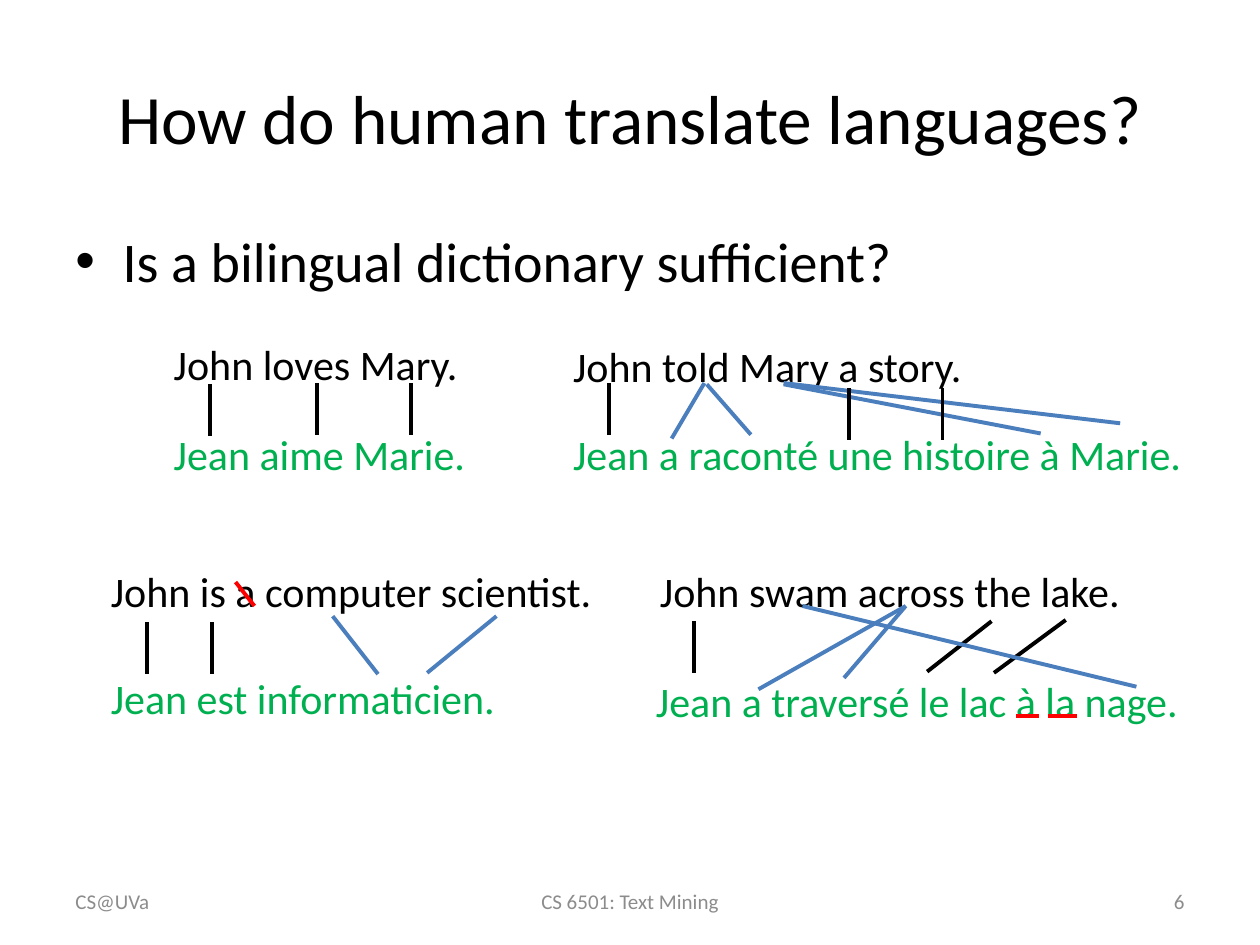
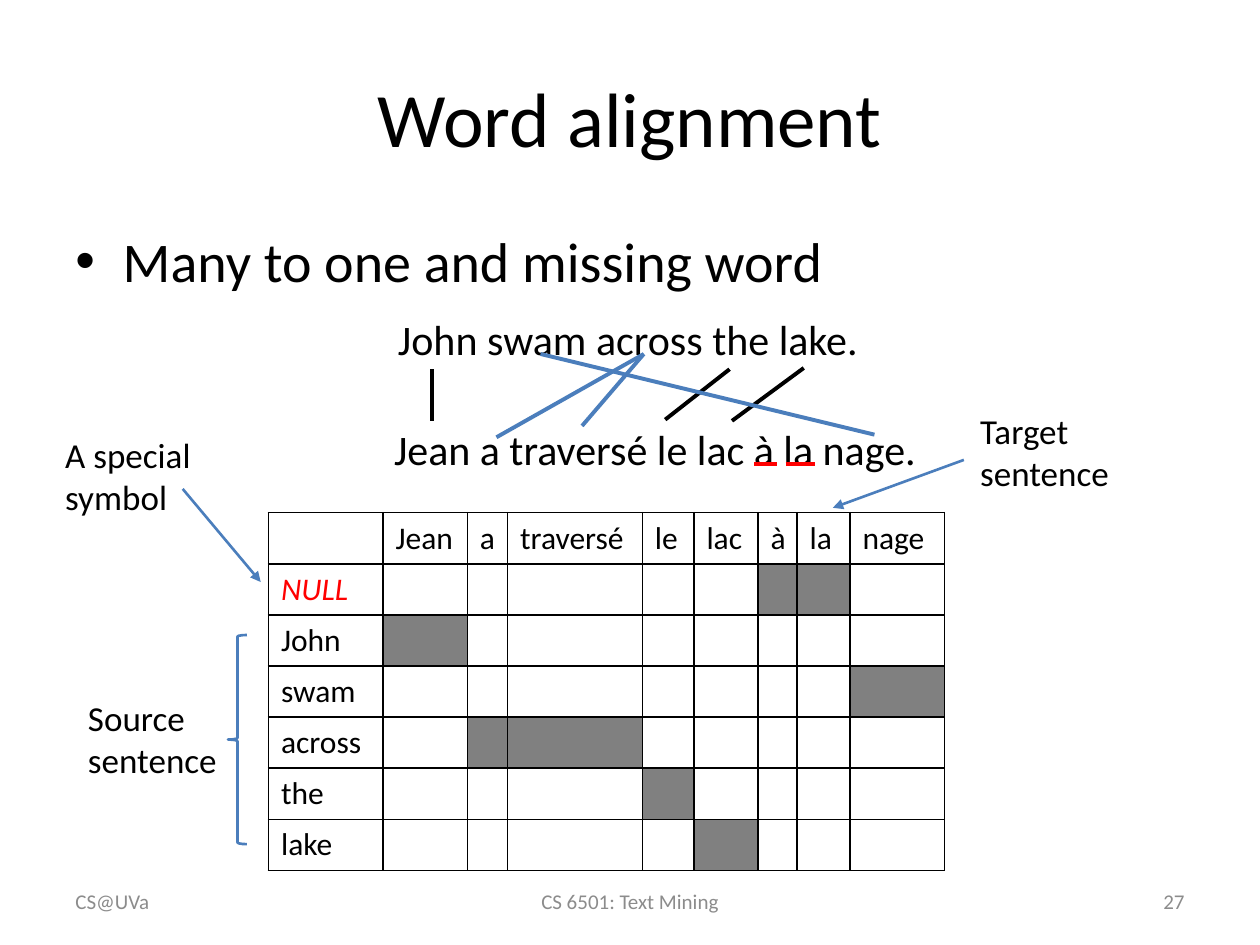
"""Builds two slides on word alignment in machine translation."""
from lxml.etree import SubElement
from pptx import Presentation
from pptx.dml.color import RGBColor
from pptx.enum.shapes import MSO_CONNECTOR as CONNECTOR, MSO_SHAPE as SHAPE
from pptx.enum.text import MSO_ANCHOR as ANCHOR, MSO_AUTO_SIZE as AUTO, PP_ALIGN as ALIGN
from pptx.oxml import parse_xml
from pptx.oxml.ns import nsdecls, qn
from pptx.util import Pt

BLACK, GREEN, BLUE, RED = "000000", "00B050", "4B7EBC", "FF0000"
GREY, SHADE = "8C8C8C", "808080"


def color(code):
    return RGBColor.from_string(code)


class Lesson:
    """Holds the deck, its style and the current slide."""

    font = "Calibri"

    def __init__(self):
        self.deck = Presentation()
        self.deck.slide_width, self.deck.slide_height = Pt(720), Pt(540)

    def page(self, title, bullet, number, title_size=44):
        self.slide = self.deck.slides.add_slide(self.deck.slide_layouts[6])
        self.text(title, 36, 21.6, 648, 90, title_size, align=ALIGN.CENTER, anchor=ANCHOR.MIDDLE)
        self.bullet(bullet)
        footers = ((36, 168, "CS@UVa", ALIGN.LEFT),
                   (246, 228, "CS 6501: Text Mining", ALIGN.CENTER),
                   (516, 168, str(number), ALIGN.RIGHT))
        for left, width, words, align in footers:
            self.text(words, left, 500.5, width, 28.75, 12, GREY, align, ANCHOR.MIDDLE)

    def span(self, para, words, size, code=BLACK, italic=None):
        span = para.add_run()
        span.text = words
        span.font.name, span.font.size, span.font.italic = self.font, Pt(size), italic
        span.font.color.rgb = color(code)

    def text(self, words, left, top, width, height, size, code=BLACK,
             align=ALIGN.LEFT, anchor=ANCHOR.TOP, wrap=True):
        box = self.slide.shapes.add_textbox(Pt(left), Pt(top), Pt(width), Pt(height))
        frame = box.text_frame
        frame.word_wrap, frame.vertical_anchor = wrap, anchor
        frame.auto_size = AUTO.NONE if wrap else AUTO.SHAPE_TO_FIT_TEXT
        para = frame.paragraphs[0]
        para.alignment = align
        self.span(para, words, size, code)
        return para

    def bullet(self, words):
        para = self.text(words, 36, 126, 648, 356.4, 32)
        props = para._p.get_or_add_pPr()
        props.set("marL", str(Pt(27)))
        props.set("indent", str(-Pt(27)))
        SubElement(props, qn("a:buFont")).set("typeface", "Arial")
        SubElement(props, qn("a:buChar")).set("char", "•")

    def sentence(self, words, left, top, width, code=BLACK):
        self.text(words, left, top, width, 36, 24, code, wrap=False)

    def label(self, words, left, top):
        self.text(words, left, top, 113, 55.4, 20)

    def line(self, x1, y1, x2, y2, code=BLACK, weight=2.25, arrow=False):
        line = self.slide.shapes.add_connector(CONNECTOR.STRAIGHT, Pt(x1), Pt(y1), Pt(x2), Pt(y2))
        line.line.color.rgb, line.line.width = color(code), Pt(weight)
        if arrow:
            SubElement(line.line._get_or_add_ln(), qn("a:tailEnd")).set("type", "triangle")
        SubElement(line._element.spPr, qn("a:effectLst"))

    def brace(self, left, top, width, height):
        brace = self.slide.shapes.add_shape(SHAPE.LEFT_BRACE, Pt(left), Pt(top), Pt(width), Pt(height))
        brace.shadow.inherit = False
        brace.fill.background()
        brace.line.color.rgb, brace.line.width = color(BLUE), Pt(1.5)

    def swam_example(self, left, top, target_code):
        self.sentence("John swam across the lake.", left, top, 279.4)
        self.sentence("Jean a traversé le lac à la nage. ", left - 2.2, top + 62.9, 321.1, target_code)
        links = ((26.6, 35.3, 26.6, 64.8, BLACK),
                 (147.6, 26.6, 112.3, 67.7, BLUE),
                 (196.6, 35.3, 159.8, 64.1, BLACK),
                 (239, 34.6, 198, 64.8, BLACK),
                 (88.6, 26.6, 279.4, 72.7, BLUE),
                 (147.6, 26.6, 63.4, 74.2, BLUE),
                 (210.6, 89.6, 223.5, 89.6, RED),
                 (228.6, 89.6, 245.2, 89.6, RED))
        for x1, y1, x2, y2, code in links:
            self.line(left + x1, top + y1, left + x2, top + y2, code)

    def cell(self, cell, words, shaded, code=BLACK, italic=None):
        if shaded:
            cell.fill.solid()
            cell.fill.fore_color.rgb = color(SHADE)
        else:
            cell.fill.background()
        if words:
            self.span(cell.text_frame.paragraphs[0], words, 18, code, italic)
        props = cell._tc.get_or_add_tcPr()
        for place, side in enumerate(("lnL", "lnR", "lnT", "lnB")):
            props.insert(place, parse_xml(
                f'<a:{side} {nsdecls("a")} w="{Pt(1)}"><a:solidFill>'
                f'<a:srgbClr val="{BLACK}"/></a:solidFill></a:{side}>'))

    def alignment_table(self, left, top, widths, row_height, targets, links):
        shape = self.slide.shapes.add_table(len(links) + 1, len(widths), Pt(left), Pt(top),
                                            Pt(sum(widths)), Pt(row_height * (len(links) + 1)))
        table = shape.table
        table.first_row = table.horz_banding = False
        for column, width in zip(table.columns, widths):
            column.width = Pt(width)
        for row in table.rows:
            row.height = Pt(row_height)
        for index, target in enumerate(("",) + targets):
            self.cell(table.cell(0, index), target, False)
        for row, (source, matches) in enumerate(links.items(), 1):
            special = source == "NULL"
            self.cell(table.cell(row, 0), source, False, RED if special else BLACK, special)
            for index, target in enumerate(targets, 1):
                self.cell(table.cell(row, index), "", target in matches)


lesson = Lesson()

lesson.page("How do human translate languages?", "Is a bilingual dictionary sufficient?", 6, 39.6)
pairs = (("John loves Mary.", "Jean aime Marie.", 92.2, 190.1, 241.2, 177.8, 182.9),
         ("John told Mary a story.", "Jean a raconté une histoire à Marie.",
          320.4, 190.8, 241.2, 238.3, 365),
         ("John is a computer scientist.", "Jean est informaticien.",
          56.2, 319.7, 380.9, 291.6, 236.2))
for source, target, left, source_top, target_top, source_width, target_width in pairs:
    lesson.sentence(source, left, source_top, source_width)
    lesson.sentence(target, left, target_top, target_width, GREEN)
uprights = ((120.2, 219.6), (181.4, 218.9), (234.7, 218.9), (348.2, 218.9),
            (485.3, 222), (538.6, 222), (84.2, 355.7), (121, 355.7))
crossings = ((402.5, 218.9, 383.8, 250.6), (403.9, 219.6, 429.1, 248.4),
             (447.8, 219.6, 594.7, 247.7), (447.8, 218.9, 640.1, 241.9),
             (190.1, 352.1, 216, 385.2), (283.7, 352.1, 244.1, 384.5))
for crossing in crossings:
    lesson.line(*crossing, BLUE)
for x, y in uprights:
    lesson.line(x, y, x, y + 29.5)
lesson.line(134.6, 332.6, 145.4, 346.3, RED)
lesson.swam_example(370, 319.7, GREEN)

lesson.page("Word alignment", "Many to one and missing word", 27)
lesson.label("Target sentence", 553, 230.4)
lesson.label("Source sentence", 43.2, 394.6)
lesson.label("A special symbol", 30.2, 244.1)
lesson.brace(130.3, 362.9, 10.8, 119.5)
lesson.line(550.8, 262.8, 475.9, 290.2, BLUE, 1.5, arrow=True)
lesson.line(104.4, 279.4, 149, 332.6, BLUE, 1.5, arrow=True)
lesson.swam_example(220.3, 175.7, BLACK)
lesson.alignment_table(
    153.4, 293, (65.5, 48.2, 23, 77, 29.5, 36.7, 22.3, 30.2, 54), 29.2,
    ("Jean", "a", "traversé", "le", "lac", "à", "la", "nage"),
    {"NULL": ("à", "la"), "John": ("Jean",), "swam": ("nage",),
     "across": ("a", "traversé"), "the": ("le",), "lake": ("lac",)})

lesson.deck.save("out.pptx")
